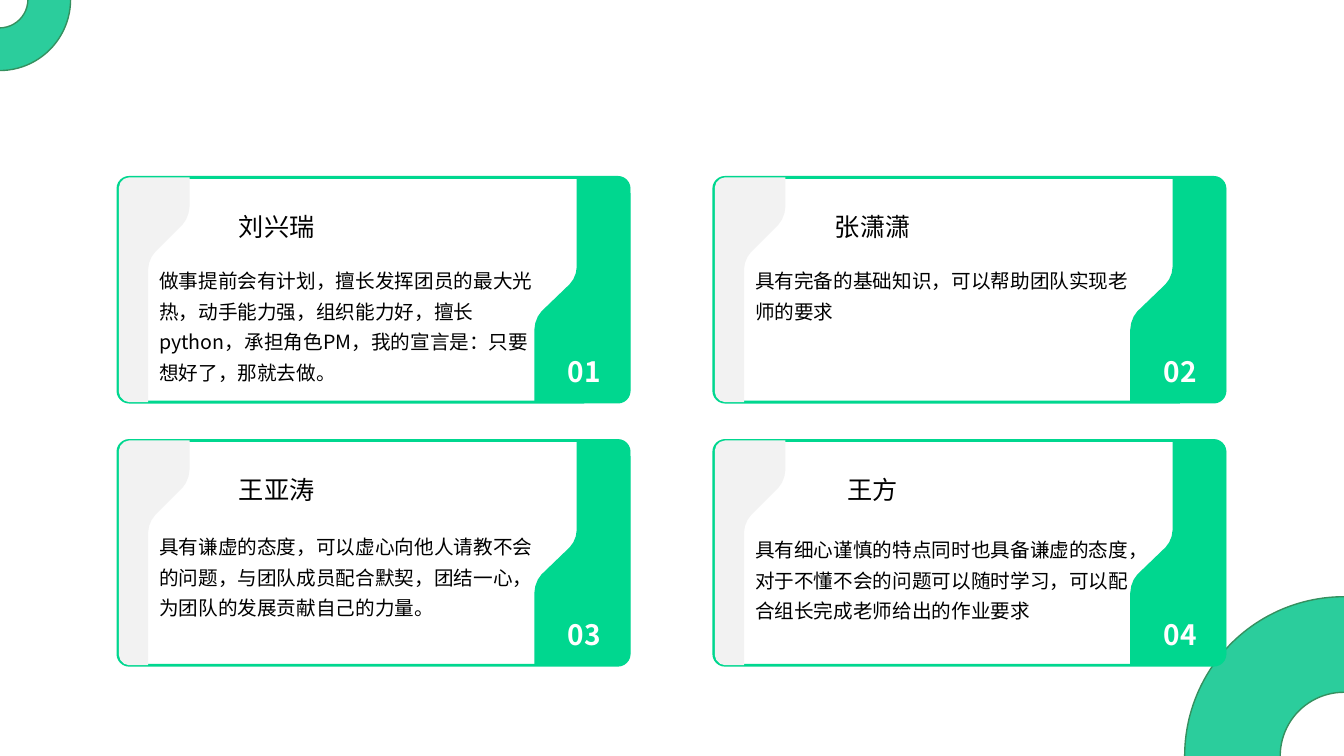
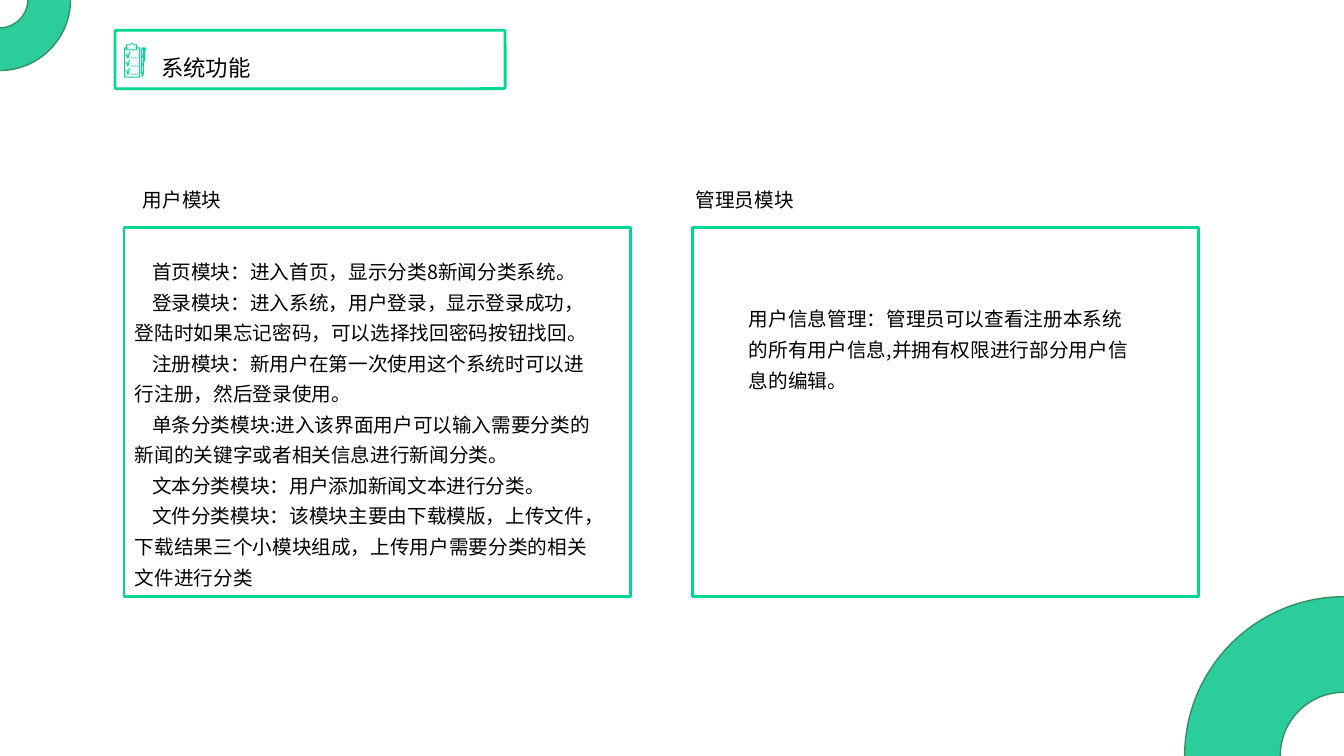
from pptx import Presentation
from pptx.dml.color import RGBColor
from pptx.enum.shapes import MSO_SHAPE
from pptx.enum.text import MSO_ANCHOR, MSO_AUTO_SIZE, PP_ALIGN
from pptx.oxml.xmlchemy import OxmlElement
from pptx.util import Inches, Pt

COLORS = {"green": "00D78F", "ring": "00C389", "ring_line": "35905F",
          "gray": "F2F2F2", "white": "FFFFFF", "black": "000000"}
FONT = "Noto Sans CJK SC"
STYLES = {
    "title": {"size": Pt(16), "bold": False},
    "name": {"size": Pt(18), "bold": False},
    "number": {"size": Pt(20), "bold": True},
    "body": {"size": Pt(14), "bold": False},
}
LAYOUT_TITLE_ONLY, LAYOUT_BLANK = 5, 6
SLIDE_WIDTH, SLIDE_HEIGHT = 13.33, 7.5

CARD_WIDTH, CARD_HEIGHT = 5.07, 2.23
# Name, description, top (from the card's top) and height of the description
MEMBERS = [
    ("刘兴瑞", "做事提前会有计划，擅长发挥团员的最大光热，动手能力强，组织能力好，擅长python，"
     "承担角色PM，我的宣言是：只要想好了，那就去做。", 0.79, 1.32),
    ("张潇潇", "具有完备的基础知识，可以帮助团队实现老师的要求", 0.79, 0.71),
    ("王亚涛", "具有谦虚的态度，可以虚心向他人请教不会的问题，与团队成员配合默契，团结一心，"
     "为团队的发展贡献自己的力量。", 0.82, 1.02),
    ("王方", "具有细心谨慎的特点同时也具备谦虚的态度，对于不懂不会的问题可以随时学习，"
     "可以配合组长完成老师给出的作业要求", 0.85, 1.02),
]
USER_MODULES = [
    "首页模块：进入首页，显示分类8新闻分类系统。",
    "登录模块：进入系统，用户登录，显示登录成功，登陆时如果忘记密码，可以选择找回密码按钮找回。",
    "注册模块：新用户在第一次使用这个系统时可以进行注册，然后登录使用。",
    "单条分类模块:进入该界面用户可以输入需要分类的新闻的关键字或者相关信息进行新闻分类。",
    "文本分类模块：用户添加新闻文本进行分类。",
    "文件分类模块：该模块主要由下载模版，上传文件，下载结果三个小模块组成，"
    "上传用户需要分类的相关文件进行分类",
]
ADMIN_MODULES = ["用户信息管理：管理员可以查看注册本系统的所有用户信息,并拥有权限进行部分用户信息的编辑。"]


def color(name):
    return RGBColor.from_string(COLORS[name])


def paint(shape, fill, line=None, width=2, opacity=None):
    shape.shadow.inherit = False
    shape.fill.solid()
    shape.fill.fore_color.rgb = color(fill)
    if opacity is not None:
        alpha = OxmlElement("a:alpha")
        alpha.set("val", str(opacity * 1000))
        shape.fill._xPr.solidFill.srgbClr.append(alpha)
    if line:
        shape.line.color.rgb = color(line)
        shape.line.width = Pt(width)
    else:
        shape.line.fill.background()


def add_box(slide, kind, box, fill="white", line="green", width=2, adjustment=None, opacity=None):
    shape = slide.shapes.add_shape(kind, *map(Inches, box))
    if adjustment is not None:
        shape.adjustments[0] = adjustment
    paint(shape, fill, line, width, opacity)
    return shape


def write_text(shape, paragraphs, style, font_color="black", align=PP_ALIGN.LEFT,
               spacing=1.0, indent=0, wrap=True):
    frame = shape.text_frame
    settings = {"word_wrap": wrap, "auto_size": MSO_AUTO_SIZE.NONE, "vertical_anchor": MSO_ANCHOR.TOP}
    for key, value in settings.items():
        setattr(frame, key, value)
    for index, text in enumerate(paragraphs):
        paragraph = frame.add_paragraph() if index else frame.paragraphs[0]
        paragraph.alignment = align
        paragraph.line_spacing = spacing
        if indent:
            paragraph._p.get_or_add_pPr().set("indent", str(Inches(indent)))
        run = paragraph.add_run()
        run.text = text
        for key, value in {"name": FONT, **STYLES[style]}.items():
            setattr(run.font, key, value)
        run.font.color.rgb = color(font_color)
        east_asian = OxmlElement("a:ea")
        east_asian.set("typeface", FONT)
        run._r.get_or_add_rPr().append(east_asian)


def add_text(slide, box, paragraphs, style, **options):
    write_text(slide.shapes.add_textbox(*map(Inches, box)), paragraphs, style, **options)


def add_outline(slide, contours, left, top, fill):
    """Draw closed contours, given in inches from (left, top), as one shape."""
    placed = [[(Inches(left + x), Inches(top + y)) for x, y in contour] for contour in contours]
    builder = slide.shapes.build_freeform(*placed[0][0], scale=1.0)
    for index, (start, *rest) in enumerate(placed):
        if index:
            builder.move_to(*start)
        builder.add_line_segments(rest, close=True)
    paint(builder.convert_to_shape(), fill)


def curve(start, control_1, control_2, end, steps=3):
    points = []
    for step in range(steps + 1):
        t = step / steps
        weights = ((1 - t) ** 3, 3 * t * (1 - t) ** 2, 3 * t * t * (1 - t), t ** 3)
        points.append(tuple(sum(weight * point[axis] for weight, point
                                in zip(weights, (start, control_1, control_2, end)))
                            for axis in (0, 1)))
    return points


def tab_outline(wide, narrow, step):
    """Edge tab, wide above and narrow below a soft slanted step."""
    height, radius = CARD_HEIGHT, 0.1
    return [
        *curve((radius, 0), (0.05, 0), (0, 0.05), (0, radius)),
        *curve((0, height - radius), (0, height - 0.05), (0.05, height), (radius, height)),
        (narrow, height),
        *curve((narrow, step + 0.62), (narrow, step + 0.56),
               (narrow + 0.03, step + 0.49), (narrow + 0.07, step + 0.45)),
        *curve((wide - 0.07, step + 0.18), (wide - 0.03, step + 0.14),
               (wide, step + 0.06), (wide, step)),
        (wide, 0),
    ]


def rectangle(left, top, width, height):
    return [(left, top), (left + width, top), (left + width, top + height), (left, top + height)]


def add_background(slide):
    # Translucent veil under two corner rings
    add_box(slide, MSO_SHAPE.RECTANGLE, (0, 0, SLIDE_WIDTH, SLIDE_HEIGHT), line=None, opacity=62)
    for left, top, size in ((-0.71, -0.71, 1.41), (11.75, 5.92, 3.16)):
        add_box(slide, MSO_SHAPE.DONUT, (left, top, size, size), "ring", "ring_line", 1, 0.3, 83)


def add_card(slide, left, top, number, name, description, description_top, description_height):
    add_box(slide, MSO_SHAPE.ROUNDED_RECTANGLE, (left, top, CARD_WIDTH, CARD_HEIGHT), adjustment=0.05)
    # Gray tab on the left, green tab turned half round on the right
    add_outline(slide, [tab_outline(0.7, 0.29, 0.29)], left + 0.01, top, "gray")
    turned = [(-x, CARD_HEIGHT - y) for x, y in tab_outline(0.95, 0.53, 0.72)]
    add_outline(slide, [turned], left + CARD_WIDTH + 0.01, top, "green")
    # Number, description and name
    add_text(slide, (left + 4.21, top + 1.71, 0.83, 0.44), [f"{number:02}"], "number",
             font_color="white", align=PP_ALIGN.CENTER)
    add_text(slide, (left + 0.31, top + description_top, 3.92, description_height), [description],
             "body", spacing=1.3)
    add_text(slide, (left + 1.1, top + 0.29, 0.95, 0.4), [name], "name",
             align=PP_ALIGN.CENTER, wrap=False)


def add_clipboard(slide, left, top):
    # Board, its inside, and the clip
    contours = [
        [(0.08, 0), (0.1, 0.02), (0.13, 0.02), (0.13, 0.05), (0.16, 0.05), (0.16, 0.35),
         (0, 0.35), (0, 0.05), (0.02, 0.05), (0.02, 0.02), (0.06, 0.02)],
        [(0.01, 0.06), (0.01, 0.34), (0.15, 0.34), (0.15, 0.06), (0.13, 0.06),
         (0.13, 0.08), (0.02, 0.08), (0.02, 0.06)],
        [(0.06, 0.03), (0.03, 0.03), (0.03, 0.07), (0.12, 0.07), (0.12, 0.03),
         (0.1, 0.03), (0.08, 0.01)],
    ]
    # Three rows, each with a tick, a dashed rule and a window in the pen
    pen = [(0.18, 0.05), (0.21, 0.05), (0.22, 0.07), (0.21, 0.09), (0.21, 0.19), (0.2, 0.19),
           (0.2, 0.3), (0.18, 0.35), (0.17, 0.3), (0.17, 0.07)]
    contours.append(pen)
    tick = [(0.05, 0), (0.06, 0.01), (0.04, 0.08), (0.02, 0.03), (0.03, 0.02), (0.04, 0.05)]
    for row in range(3):
        shift = row * 0.08
        contours.append([(x, y + 0.09 + shift) for x, y in tick])
        contours += [rectangle(0.05 + dash * 0.02, 0.15 + shift, 0.01, 0.01) for dash in range(1, 5)]
        contours.append(rectangle(0.18, 0.07 + shift, 0.01, 0.06))
    add_outline(slide, contours, left, top, "green")


def add_title(slide, left, top, text):
    add_box(slide, MSO_SHAPE.ROUNDED_RECTANGLE, (left, top, 3.87, 0.58), adjustment=0.03)
    title = slide.shapes.title
    place = {"left": left + 0.36, "top": top + 0.11, "width": 3.02, "height": 0.45}
    for key, value in place.items():
        setattr(title, key, Inches(value))
    write_text(title, [text], "title", spacing=1.3)
    slide.shapes._spTree.append(title._element)  # bring in front of the frame
    add_clipboard(slide, left + 0.09, top + 0.12)


def add_module_panel(slide, left, top, heading, heading_left, paragraphs, text_box, indent=0):
    add_box(slide, MSO_SHAPE.RECTANGLE, (left, top, 5.02, 3.66))
    add_text(slide, (left + heading_left, top - 0.51, 4.07, 0.41), [heading], "body", spacing=1.3)
    text_left, text_top, width, height = text_box
    add_text(slide, (left + text_left, top + text_top, width, height), paragraphs, "body",
             spacing=1.3, indent=indent)


def build_team_slide(presentation):
    slide = presentation.slides.add_slide(presentation.slide_layouts[LAYOUT_BLANK])
    add_background(slide)
    for index, member in enumerate(MEMBERS):
        row, column = divmod(index, 2)
        add_card(slide, 1.17 + column * 5.91, 1.76 + row * 2.61, index + 1, *member)


def build_function_slide(presentation):
    slide = presentation.slides.add_slide(presentation.slide_layouts[LAYOUT_TITLE_ONLY])
    add_background(slide)
    add_title(slide, 1.14, 0.3, "系统功能")
    add_module_panel(slide, 6.87, 2.26, "管理员模块", -0.07, ADMIN_MODULES, (0.46, 0.67, 4.07, 1.02))
    add_module_panel(slide, 1.23, 2.26, "用户模块", 0.09, USER_MODULES, (0.01, 0.2, 4.85, 3.46), 0.17)


def main():
    presentation = Presentation()
    presentation.slide_width = Inches(SLIDE_WIDTH)
    presentation.slide_height = Inches(SLIDE_HEIGHT)
    build_team_slide(presentation)
    build_function_slide(presentation)
    presentation.save("out.pptx")


if __name__ == "__main__":
    main()
